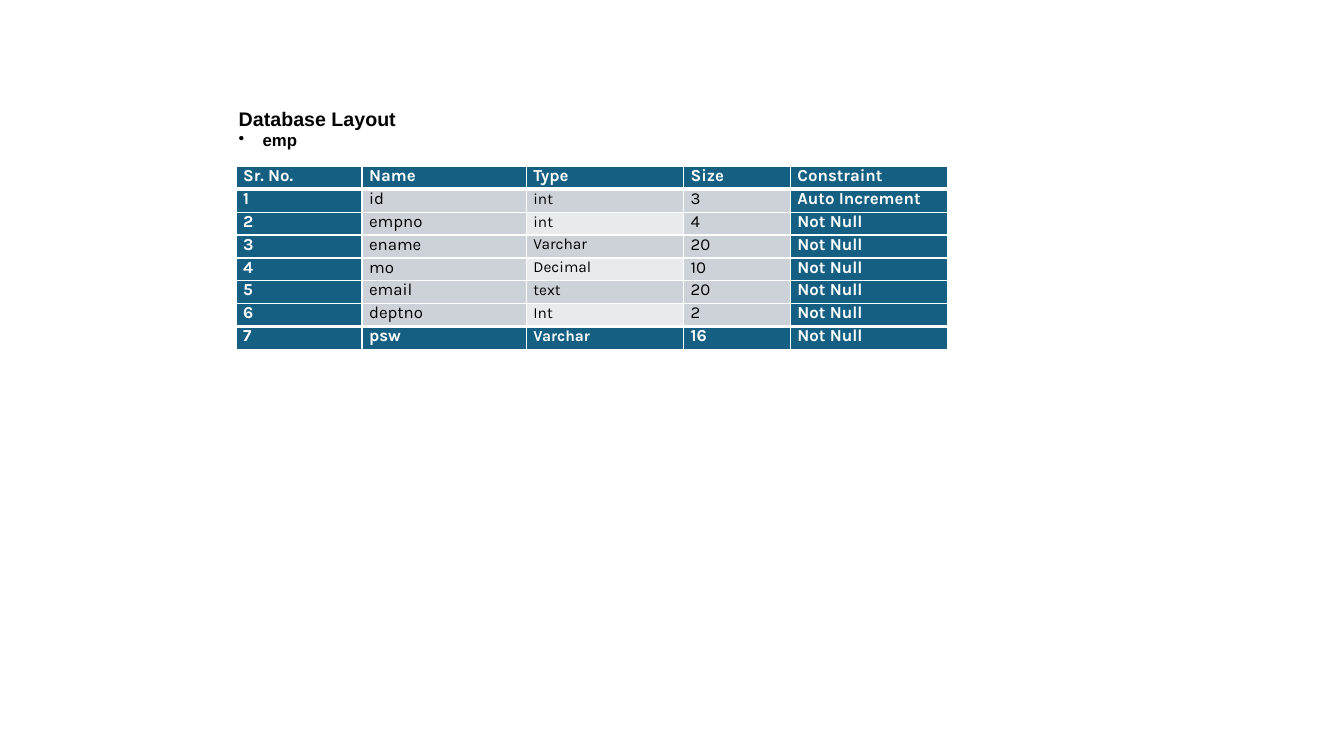
import pptx
import pptx.dml.color
import pptx.enum.text
import pptx.oxml
import pptx.oxml.ns
import pptx.util
from dataclasses import dataclass


@dataclass(frozen=True)
class Theme:
    blue: str = "156082"
    gray: str = "CCD2D8"
    pale: str = "E8EAED"
    white: str = "FFFFFF"
    black: str = "000000"
    head: str = "Arial"
    body: str = "Karla"
    large: int = 14
    base: int = 12
    small: int = 11
    thin: int = 1
    thick: int = 3


FIELDS = [
    ("Sr. No.", "Name", "Type", "Size", "Constraint"),
    ("1", "id", "int", "3", "Auto Increment"),
    ("2", "empno", "int", "4", "Not Null"),
    ("3", "ename", "Varchar", "20", "Not Null"),
    ("4", "mo", "Decimal", "10", "Not Null"),
    ("5", "email", "text", "20", "Not Null"),
    ("6", "deptno", "Int", "2", "Not Null"),
    ("7", "psw", "Varchar", "16", "Not Null"),
]
WIDTHS = (15, 19.56, 18.72, 12.72, 18.72)
HEIGHT = 2.73
TYPE = 2


class Page:
    """A slide on a grid of 160 columns and 90 rows."""

    def __init__(self, deck, theme):
        self.theme = theme
        self.col = deck.slide_width / 160
        self.row = deck.slide_height / 90
        self.slide = deck.slides.add_slide(deck.slide_layouts[5])

    def box(self, left, top, width, height):
        return (round(left * self.col), round(top * self.row),
                round(width * self.col), round(height * self.row))

    def font(self, para, name, size, color, bold):
        font = para.font
        font.name, font.size, font.bold = name, pptx.util.Pt(size), bold
        font.color.rgb = pptx.dml.color.RGBColor.from_string(color)

    def title(self, text, entry, place):
        """Fill the title with a heading and a bulleted entry below it."""
        shape = self.slide.shapes.title
        shape.left, shape.top, shape.width, shape.height = self.box(*place)
        frame = shape.text_frame
        frame.word_wrap = True
        frame.auto_size = pptx.enum.text.MSO_AUTO_SIZE.NONE
        frame.vertical_anchor = pptx.enum.text.MSO_ANCHOR.BOTTOM
        frame.margin_left = pptx.util.Inches(0.76)
        frame.margin_top = frame.margin_right = 0
        frame.margin_bottom = pptx.util.Inches(0.16)
        frame.text = f"{text}\n{entry}"
        first, second = frame.paragraphs
        mark = pptx.oxml.parse_xml(
            f'<a:buChar {pptx.oxml.ns.nsdecls("a")} char="•"/>')
        second._p.get_or_add_pPr().append(mark)
        for para, size in ((first, self.theme.large), (second, self.theme.base)):
            para.alignment = pptx.enum.text.PP_ALIGN.LEFT
            para.line_spacing = 1.0
            self.font(para, self.theme.head, size, self.theme.black, True)

    def edge(self, cell, sides):
        """Draw white borders, given as a width in points for each side."""
        for side, width in sides.items():
            cell._tc.get_or_add_tcPr().append(pptx.oxml.parse_xml(
                f'<a:ln{side} {pptx.oxml.ns.nsdecls("a")} w="{pptx.util.Pt(width)}">'
                f'<a:solidFill><a:srgbClr val="{self.theme.white}"/></a:solidFill>'
                f'</a:ln{side}>'))

    def cell(self, cell, text, fill, small):
        theme = self.theme
        cell.fill.solid()
        cell.fill.fore_color.rgb = pptx.dml.color.RGBColor.from_string(fill)
        cell.margin_left = cell.margin_right = 0
        cell.margin_top = cell.margin_bottom = 0
        cell.text = text
        para = cell.text_frame.paragraphs[0]
        para._p.get_or_add_pPr().set("marL", str(pptx.util.Inches(0.07)))
        para.line_spacing = pptx.util.Pt(13.4 if small else 13.8)
        dark = fill == theme.blue
        self.font(para, theme.body, theme.small if small else theme.base,
                  theme.white if dark else theme.black, dark)

    def table(self, rows, widths, height, left, top):
        theme = self.theme
        place = self.box(left, top, sum(widths), height * len(rows))
        table = self.slide.shapes.add_table(len(rows), len(widths), *place).table
        for column, width in zip(table.columns, widths):
            column.width = round(width * self.col)
        last, end = len(rows) - 1, len(widths) - 1
        for r, texts in enumerate(rows):
            table.rows[r].height = round(height * self.row)
            above = theme.thick if r in (1, last) else theme.thin
            below = theme.thick if r in (0, last - 1) else theme.thin
            for c, text in enumerate(texts):
                if r in (0, last) or c in (0, end):
                    fill = theme.blue
                else:
                    fill = theme.pale if c == TYPE and r % 2 == 0 else theme.gray
                cell = table.cell(r, c)
                self.edge(cell, {"L": theme.thin, "R": theme.thin,
                                 "T": above, "B": below})
                self.cell(cell, text, fill, c == TYPE and r > 0)


def main():
    deck = pptx.Presentation()
    deck.slide_width = pptx.util.Inches(13.33)
    deck.slide_height = pptx.util.Inches(7.5)
    page = Page(deck, Theme())
    page.title("Database Layout", "emp", (19.3, 13.8, 140.7, 6))
    page.table(FIELDS, WIDTHS, HEIGHT, 28.1, 19.8)
    deck.save("out.pptx")


if __name__ == "__main__":
    main()
